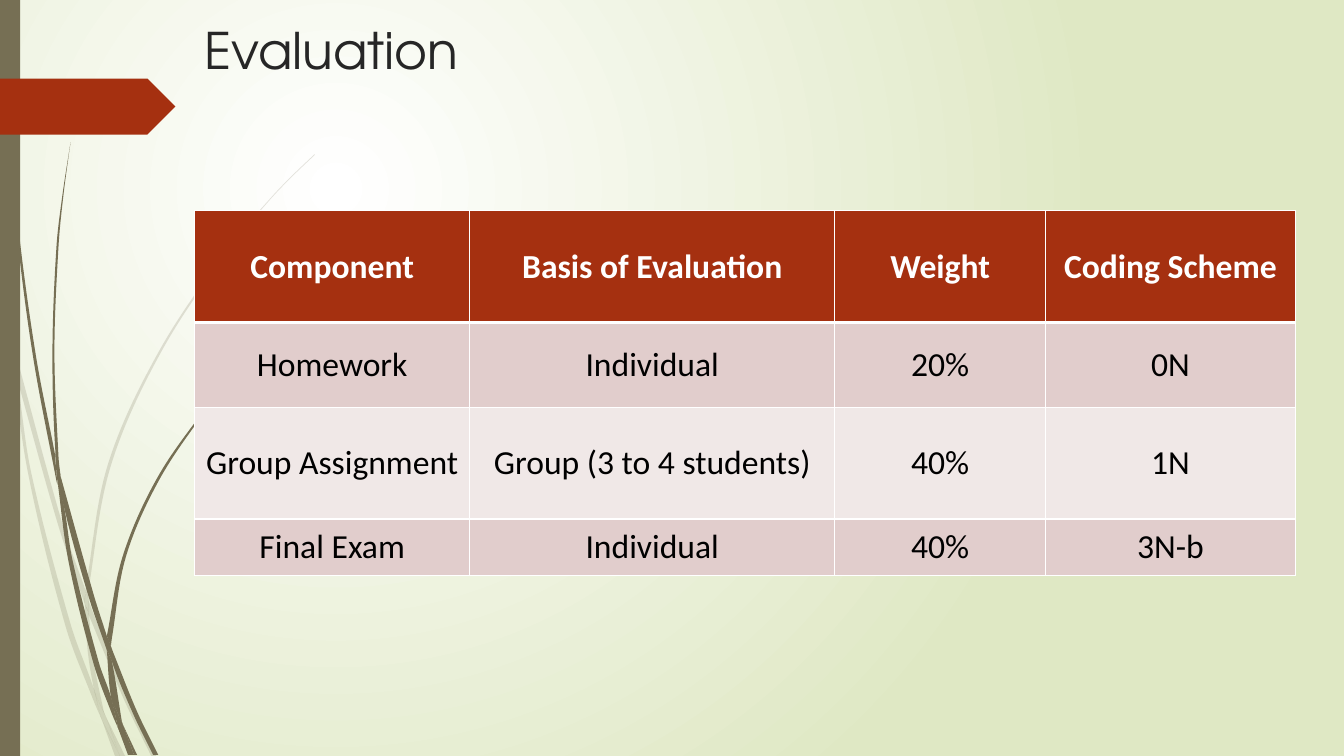
from collections import namedtuple
from dataclasses import dataclass
from math import hypot

from lxml import etree
from pptx import Presentation
from pptx.dml.color import RGBColor
from pptx.enum.shapes import MSO_SHAPE
from pptx.enum.text import MSO_ANCHOR, PP_ALIGN
from pptx.oxml.ns import qn
from pptx.util import Emu, Inches, Pt

RECTANGLE, PENTAGON = MSO_SHAPE.RECTANGLE, MSO_SHAPE.PENTAGON
TOP, MIDDLE = MSO_ANCHOR.TOP, MSO_ANCHOR.MIDDLE
LEFT, CENTER = PP_ALIGN.LEFT, PP_ALIGN.CENTER

GRID_COLUMNS, GRID_ROWS = 13.33, 7.5
CELL = Inches(1)
Box = namedtuple("Box", "left top width height")


@dataclass(frozen=True)
class Theme:
    stem: str = "766F54"
    accent: str = "A53010"
    title: str = "262626"
    white: str = "FFFFFF"
    backdrop: str = "DFE8C4"
    body: str = "000000"
    bands: tuple = ("E1CDCC", "F0E8E7")
    title_font: str = "TeX Gyre Adventor"
    table_font: str = "Calibri"
    title_size: int = 36
    table_size: int = 24


THEME = Theme()

# Each piece of grass has two curved sides, one down and one back, in grid units.
PALE_GRASS = [
    ([(.11, 3.5), (.09, 3.22), (0, 2.82)], [(0, 2.99), (.1, 3.44), (.11, 3.5)]),
    ([(.14, 3.45), (.62, 5.2), (.85, 5.86)], [(.84, 5.99), (.58, 5.22), (.17, 3.76)]),
    ([(.88, 5.96), (.92, 6.07), (1.27, 6.92), (1.55, 7.5)], [(1.5, 7.5), (1.23, 6.94), (.88, 6.1)]),
    ([(1.05, 7.11), (1.24, 7.5)], [(1.19, 7.5), (1.05, 7.11)]),
    ([(.11, 3.5), (.17, 3.76), (.31, 4.69), (.7, 6.19), (.93, 6.83), (.99, 7.07), (1.01, 7.14)],
     [(1.01, 7.14), (.92, 6.93), (.65, 6.21), (.28, 4.7), (.11, 3.5)]),
    ([(.84, 5.99), (.87, 6.46), (.93, 6.83), (.96, 6.92), (1.05, 7.11)],
     [(1.05, 7.11), (1.03, 7.06), (.91, 6.46), (.88, 6.08), (.84, 5.99)]),
    ([(.88, 5.96), (.88, 5.84), (1.1, 4.62), (1.6, 3.49), (2.29, 2.45), (2.68, 1.98), (2.9, 1.75), (3.12, 1.54)],
     [(3.12, 1.53), (2.89, 1.75), (2.68, 1.97), (2.28, 2.44), (1.58, 3.48), (1.07, 4.61), (.85, 5.84), (.85, 5.86)]),
    ([(1.01, 7.14), (1.14, 7.5)], [(1.19, 7.5), (1.01, 7.14)]),
    ([(.85, 5.86), (.88, 5.96), (.88, 6.1)], [(.88, 6.08), (.84, 5.99), (.85, 5.86)]),
    ([(.93, 6.83), (.96, 6.92), (1.05, 7.11), (1.19, 7.5)], [(1.19, 7.5), (1.01, 7.14), (.99, 7.07), (.93, 6.83)]),
]
DARK_GRASS = [
    ([(.03, 0), (.04, .48), (.07, 1.1), (.17, 2.33), (.33, 3.55), (.56, 4.77), (.57, 4.81)],
     [(.55, 4.57), (.55, 4.53), (.36, 3.55), (.19, 2.32), (.08, 1.09), (.05, .48), (.04, 0)]),
    ([(.6, 4.72), (.93, 5.9), (1.06, 6.31)], [(1.06, 6.45), (.88, 5.92), (.64, 5.05), (.6, 4.72)]),
    ([(1.1, 6.41), (1.13, 6.49), (1.36, 7.06), (1.57, 7.49)], [(1.52, 7.49), (1.32, 7.08), (1.11, 6.56), (1.1, 6.41)]),
    ([(.57, 4.77), (.64, 5.05), (.72, 5.56), (.98, 6.57), (1.1, 6.91), (1.16, 7.17), (1.17, 7.22)],
     [(1.17, 7.22), (1.11, 7.08), (.93, 6.59), (.68, 5.57), (.57, 4.77)]),
    ([(.7, 1.41), (.63, 1.93), (.58, 2.45), (.54, 3.49), (.58, 4.53), (.6, 4.72)],
     [(.6, 4.72), (.55, 4.49), (.52, 3.49), (.56, 2.45), (.62, 1.93), (.7, 1.41)]),
    ([(1.22, 7.19), (1.36, 7.49)], [(1.33, 7.49), (1.22, 7.19)]),
    ([(.55, 4.49), (.6, 4.72), (.64, 5.05)], [(.64, 5.05), (.57, 4.77), (.55, 4.53)]),
    ([(2.6, 3.44), (2.45, 3.58), (2.31, 3.73), (2.04, 4.05), (1.56, 4.74), (1.22, 5.51), (1.06, 6.31)],
     [(1.1, 6.41), (1.11, 6.33), (1.25, 5.52), (1.58, 4.76), (2.05, 4.06), (2.31, 3.74), (2.45, 3.59), (2.61, 3.44)]),
    ([(1.17, 7.22), (1.27, 7.49)], [(1.31, 7.49), (1.17, 7.22)]),
    ([(1.06, 6.45), (1.1, 6.91), (1.16, 7.06), (1.22, 7.19)], [(1.22, 7.19), (1.21, 7.16), (1.11, 6.56), (1.06, 6.45)]),
    ([(1.06, 6.31), (1.1, 6.41), (1.11, 6.56)], [(1.11, 6.56), (1.09, 6.51), (1.06, 6.45)]),
    ([(1.1, 6.91), (1.16, 7.06), (1.22, 7.19), (1.33, 7.49)], [(1.3, 7.49), (1.17, 7.22), (1.16, 7.17), (1.1, 6.91)]),
]

COLUMN_WIDTHS = (2.73, 3.62, 2.09, 2.48)
ROW_HEIGHTS = (1.11, .84, 1.11, .56)
EVALUATION_ROWS = [
    ("Component", "Basis of Evaluation", "Weight", "Coding Scheme"),
    ("Homework", "Individual", "20%", "0N"),
    ("Group Assignment", "Group (3 to 4 students)", "40%", "1N"),
    ("Final Exam", "Individual", "40%", "3N-b"),
]


def rgb(color):
    return RGBColor.from_string(color)


def grid_box(*cells):
    return Box(*(Emu(round(CELL * cell)) for cell in cells))


def paint(shape, color, opacity=100):
    shape.shadow.inherit = False
    shape.fill.solid()
    shape.fill.fore_color.rgb = rgb(color)
    shape.line.fill.background()
    if opacity < 100:
        solid = shape.fill._xPr.find(qn("a:solidFill"))
        etree.SubElement(solid[0], qn("a:alpha"), val=str(opacity * 1000))


def write(text_frame, text, font_name, size, color, bold=False, alignment=LEFT):
    text_frame.text = text
    paragraph = text_frame.paragraphs[0]
    paragraph.alignment = alignment
    font = paragraph.runs[0].font
    font.name, font.size, font.bold = font_name, Pt(size), bold
    font.color.rgb = rgb(color)


def fill_background(slide):
    """Radial gradient, brightest a quarter of the way in from the top left."""
    fill = slide.background.fill
    fill.gradient()
    for stop, color, position in zip(fill.gradient_stops, (THEME.white, THEME.backdrop), (0, 1)):
        stop.color.rgb = rgb(color)
        stop.position = position
    gradient = fill._xPr.find(qn("a:gradFill"))
    radial = etree.Element(qn("a:path"), path="circle")
    etree.SubElement(radial, qn("a:fillToRect"), l="50000", t="50000", r="100000", b="100000")
    gradient.replace(gradient.find(qn("a:lin")), radial)


def direction(start, end):
    dx, dy = end[0] - start[0], end[1] - start[1]
    length = hypot(dx, dy)
    return dx / length, dy / length, length


def bend(segments, points):
    """Turn the straight segments that join the points into one smooth curve."""
    last = len(points) - 1
    tangents = [direction(points[max(i - 1, 0)], points[min(i + 1, last)]) for i in range(last + 1)]
    for segment, start, end, leaving, arriving in zip(segments, points, points[1:], tangents, tangents[1:]):
        reach = direction(start, end)[2] / 3
        segment.tag = qn("a:cubicBezTo")
        handles = [(start[axis] + leaving[axis] * reach, end[axis] - arriving[axis] * reach) for axis in (0, 1)]
        for index, (x, y) in enumerate(zip(*handles)):
            segment.insert(index, etree.Element(qn("a:pt"), x=str(round(x)), y=str(round(y))))


def add_grass_piece(slide, box, sides, opacity):
    unit = box.height / GRID_ROWS
    outline = [(box.left + x * unit, box.top + y * unit) for side in sides for x, y in side]
    builder = slide.shapes.build_freeform(*outline[0], scale=1.0)
    builder.add_line_segments(outline[1:], close=True)
    shape = builder.convert_to_shape()
    steps = [(point.getparent(), (int(point.get("x")), int(point.get("y"))))
             for point in shape._element.iter(qn("a:pt"))]
    split = len(sides[0])
    for part in (steps[:split], steps[split:len(outline)]):
        segments, points = zip(*part)
        etree_segments = [replace_line(segment) for segment in segments[1:]]
        bend(etree_segments, points)
    paint(shape, THEME.stem, opacity)


def replace_line(line):
    curve = etree.Element(qn("a:cubicBezTo"))
    line.getparent().replace(line, curve)
    curve.append(line[0])
    return curve


def add_side_decoration(slide, box):
    for pieces, opacity in ((PALE_GRASS, 20), (DARK_GRASS, 100)):
        for sides in pieces:
            add_grass_piece(slide, box, sides, opacity)
    edge = slide.shapes.add_shape(RECTANGLE, box.left, box.top, int(box.width * .115), box.height)
    paint(edge, THEME.stem)
    marker = slide.shapes.add_shape(
        PENTAGON, box.left, box.top + int(box.height * .104), box.width, int(box.height * .074))
    paint(marker, THEME.accent)


def add_title(slide, box):
    text_frame = slide.shapes.add_textbox(*box).text_frame
    text_frame.word_wrap = True
    text_frame.vertical_anchor = TOP
    write(text_frame, "Evaluation", THEME.title_font, THEME.title_size, THEME.title)


def add_borders(cell, top, bottom):
    properties = cell._tc.get_or_add_tcPr()
    for edge, points in (("lnL", 1), ("lnR", 1), ("lnT", top), ("lnB", bottom)):
        line = etree.SubElement(properties, qn(f"a:{edge}"), w=str(Pt(points)))
        solid = etree.SubElement(line, qn("a:solidFill"))
        etree.SubElement(solid, qn("a:srgbClr"), val=THEME.white)


def add_evaluation_table(slide, box):
    table = slide.shapes.add_table(len(ROW_HEIGHTS), len(COLUMN_WIDTHS), *box).table
    for column, share in zip(table.columns, COLUMN_WIDTHS):
        column.width = Emu(int(box.width * share / sum(COLUMN_WIDTHS)))
    for row, share in zip(table.rows, ROW_HEIGHTS):
        row.height = Emu(int(box.height * share / sum(ROW_HEIGHTS)))
    for row_index, texts in enumerate(EVALUATION_ROWS):
        header = row_index == 0
        fill_color = THEME.accent if header else THEME.bands[(row_index - 1) % 2]
        for column_index, text in enumerate(texts):
            cell = table.cell(row_index, column_index)
            cell.vertical_anchor = MIDDLE
            cell.margin_left = cell.margin_right = Inches(.07)
            cell.margin_top = cell.margin_bottom = 0
            add_borders(cell, top=3 if row_index == 1 else 1, bottom=3 if header else 1)
            cell.fill.solid()
            cell.fill.fore_color.rgb = rgb(fill_color)
            write(cell.text_frame, text, THEME.table_font, THEME.table_size,
                  THEME.white if header else THEME.body, header, CENTER)


def main():
    presentation = Presentation()
    presentation.slide_width, presentation.slide_height = grid_box(0, 0, GRID_COLUMNS, GRID_ROWS)[2:]
    slide = presentation.slides.add_slide(presentation.slide_layouts[6])
    fill_background(slide)
    add_side_decoration(slide, grid_box(0, 0, 1.74, GRID_ROWS))
    add_title(slide, grid_box(1.93, .14, 9.75, 1.02))
    add_evaluation_table(slide, grid_box(1.93, 2.09, 10.92, 3.62))
    presentation.save("out.pptx")


if __name__ == "__main__":
    main()
